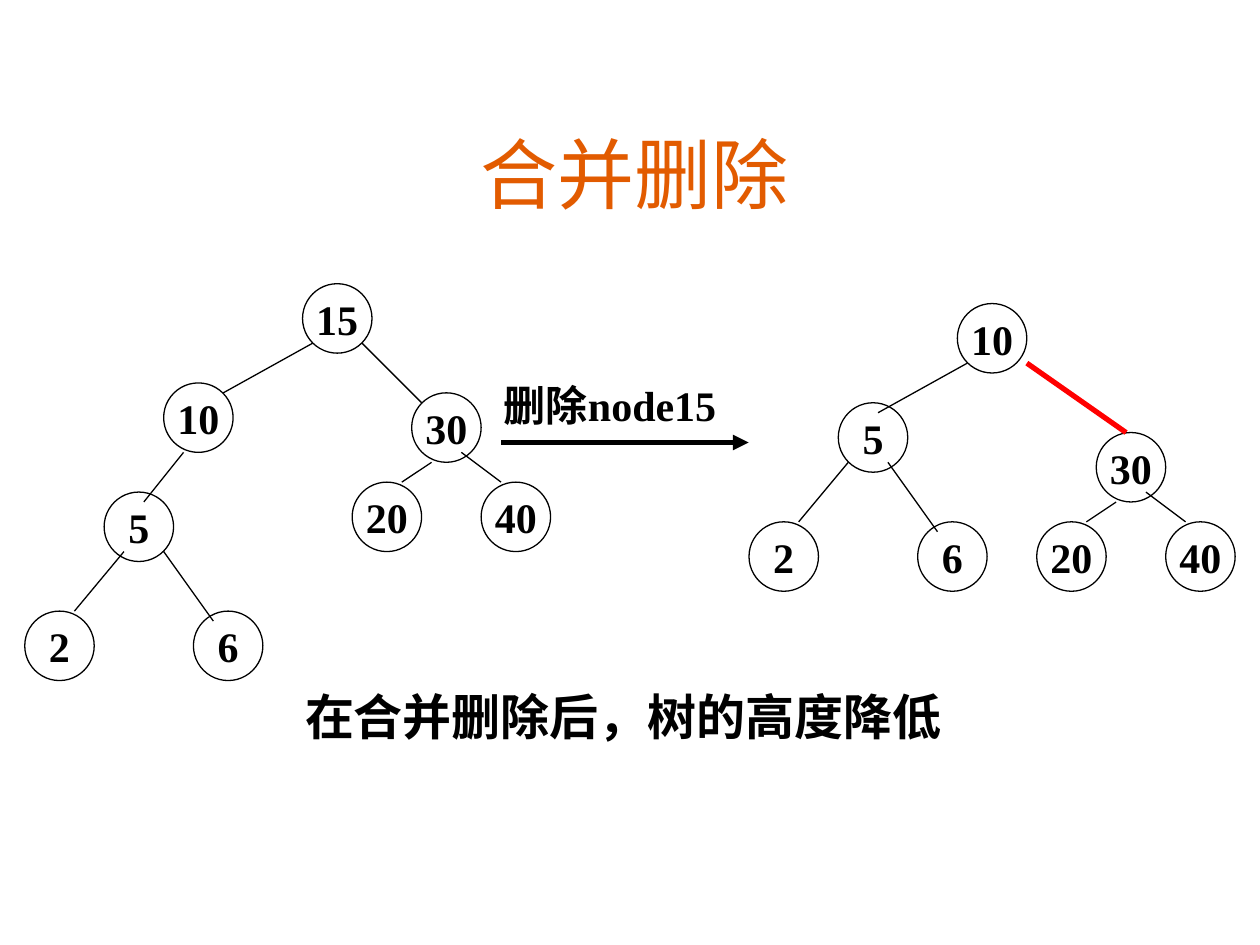
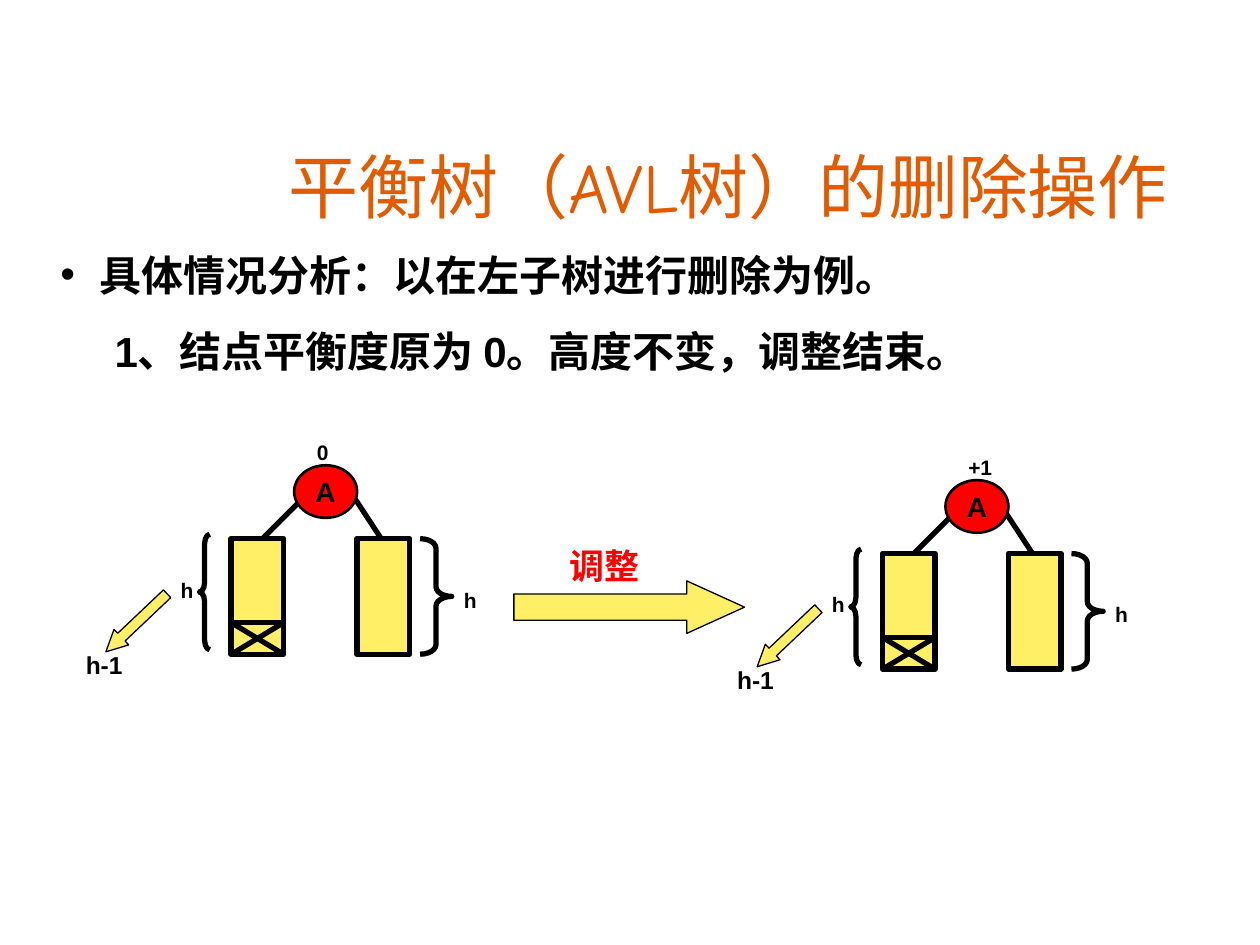
from lxml import etree
from pptx import Presentation
from pptx.dml.color import RGBColor
from pptx.enum.shapes import MSO_CONNECTOR, MSO_SHAPE
from pptx.enum.text import MSO_ANCHOR, PP_ALIGN
from pptx.oxml.ns import qn
from pptx.util import Cm, Pt

STRAIGHT = MSO_CONNECTOR.STRAIGHT
OVAL, RECTANGLE, ARROW = MSO_SHAPE.OVAL, MSO_SHAPE.RECTANGLE, MSO_SHAPE.RIGHT_ARROW
LEFT_BRACE, RIGHT_BRACE = MSO_SHAPE.LEFT_BRACE, MSO_SHAPE.RIGHT_BRACE
LEFT, CENTER = PP_ALIGN.LEFT, PP_ALIGN.CENTER
TOP, MIDDLE, BOTTOM = MSO_ANCHOR.TOP, MSO_ANCHOR.MIDDLE, MSO_ANCHOR.BOTTOM

COLORS = {"title": "E25B00", "ink": "000000", "red": "FF0000", "yellow": "FFEF66"}
TITLE_FONT = {"name": "Comic Neue", "bold": False}
TREE_FONT = {"name": "Times New Roman", "bold": True}
AVL_FONT = {"name": "Arial", "bold": True}

NODE_SIZE = 1.4
# Node positions are offsets from the root; an edge is
# (parent, offset in parent, child, offset in child).
TREE_BEFORE = {
    "origin": (6.1, 5.72),
    "nodes": {"15": (0, 0), "10": (-2.8, 2), "30": (2.2, 2.2), "20": (1, 4),
              "5": (-4, 4.2), "40": (3.6, 4), "2": (-5.6, 6.6), "6": (-2.2, 6.6)},
    "edges": [
        ("15", (0.2, 1.2), "10", (1.2, 0.2)),
        ("15", (1.2, 1.2), "30", (0.2, 0.2)),
        ("10", (0.4, 1.4), "5", (0.8, 0.2)),
        ("30", (0.4, 1.4), "20", (1, 0)),
        ("30", (1, 1.2), "40", (0.4, 0)),
        ("5", (0.4, 1.2), "2", (1, 0)),
        ("5", (1.2, 1.2), "6", (0.4, 0.2)),
    ],
}
TREE_AFTER = {
    "origin": (19.3, 6.12),
    "nodes": {"10": (0, 0), "5": (-2.4, 2), "30": (2.8, 2.6), "20": (1.6, 4.4),
              "40": (4.2, 4.4), "2": (-4.2, 4.4), "6": (-0.8, 4.4)},
    "edges": [
        ("10", (0.2, 1.2), "5", (0.8, 0.2)),
        ("5", (0.2, 1.2), "2", (1, 0)),
        ("5", (1, 1.2), "6", (0.4, 0.2)),
        ("30", (0.4, 1.4), "20", (1, 0)),
        ("30", (1, 1.2), "40", (0.4, 0)),
    ],
    "new_edge": ("10", (1.4, 1.2), "30", (0.6, 0)),
}


def color(name):
    return RGBColor.from_string(COLORS[name])


def shifted(point, offset):
    return point[0] + offset[0], point[1] + offset[1]


def set_attributes(target, values):
    for name, value in values.items():
        setattr(target, name, value)


def write(paragraph, text, size, font, ink="ink", **layout):
    set_attributes(paragraph, layout)
    run = paragraph.add_run()
    run.text = text
    set_attributes(run.font, {"size": Pt(size), **font})
    run.font.color.rgb = color(ink)


def add_text(slide, box, text, size, font, ink="ink", align=LEFT, anchor=TOP):
    shape = slide.shapes.add_textbox(*map(Cm, box))
    set_attributes(shape.text_frame, {"word_wrap": True, "vertical_anchor": anchor})
    space = 0 if font is TITLE_FONT else size * 0.625
    write(shape.text_frame.paragraphs[0], text, size, font, ink,
          alignment=align, space_before=Pt(space))
    return shape


def add_title(slide, box, text, size, anchor):
    return add_text(slide, box, text, size, TITLE_FONT, "title", CENTER, anchor)


def add_figure(slide, kind, box, fill=None, width=0.75, adjustments=()):
    shape = slide.shapes.add_shape(kind, *map(Cm, box))
    shape.shadow.inherit = False
    if fill:
        shape.fill.solid()
        shape.fill.fore_color.rgb = color(fill)
    else:
        shape.fill.background()
    shape.line.color.rgb = color("ink")
    shape.line.width = Pt(width)
    for index, value in enumerate(adjustments):
        shape.adjustments[index] = value
    return shape


def add_circle(slide, box, text, size, font, **look):
    shape = add_figure(slide, OVAL, box, **look)
    set_attributes(shape.text_frame, {"word_wrap": False, "vertical_anchor": MIDDLE})
    write(shape.text_frame.paragraphs[0], text, size, font, alignment=CENTER)


def add_line(slide, start, end, width=0.75, ink="ink", arrow=False):
    line = slide.shapes.add_connector(STRAIGHT, *map(Cm, (*start, *end)))
    line.line.color.rgb = color(ink)
    line.line.width = Pt(width)
    if arrow:
        etree.SubElement(line.line._get_or_add_ln(), qn("a:tailEnd"), type="triangle")
    etree.SubElement(line._element.spPr, qn("a:effectLst"))


def add_brace(slide, kind, box):
    """The curved ends each take a twelfth of the height."""
    width, height = box[2:]
    add_figure(slide, kind, box, width=3, adjustments=(height / 12 / width, 0.5))


def add_tree(slide, tree):
    places = {label: shifted(tree["origin"], offset)
              for label, offset in tree["nodes"].items()}
    for label, place in places.items():
        add_circle(slide, (*place, NODE_SIZE, NODE_SIZE), label, 24, TREE_FONT)

    def add_edge(edge, **look):
        parent, start, child, end = edge
        add_line(slide, shifted(places[parent], start), shifted(places[child], end), **look)

    for edge in tree["edges"]:
        add_edge(edge)
    if "new_edge" in tree:
        add_edge(tree["new_edge"], width=3, ink="red")


def add_balance_panel(slide, offset, balance):
    """Node A with two subtrees, the left one losing a level."""
    def place(x, y, *size):
        return (*shifted((x, y), offset), *size)

    left, top, width, height = 4.66, 10.86, 1.06, 2.33
    right, bottom, cut = left + width, top + height, 12.55
    for start, end in (((6.35, 9.8), (5.29, top)), ((6.99, 9.8), (7.83, 11.08))):
        add_line(slide, place(*start), place(*end), width=3)
    add_circle(slide, place(5.93, 9.38, 1.27, 1.06), "A", 16, AVL_FONT,
               fill="red", width=1.5)
    for x in (left, left + 2.54):
        add_figure(slide, RECTANGLE, place(x, top, width, height), "yellow", 3)
    for start, end in (((left, cut), (right, cut)), ((right, cut), (left, bottom)),
                       ((left, cut), (right, bottom))):
        add_line(slide, place(*start), place(*end), width=3)
    add_brace(slide, LEFT_BRACE, place(4.02, 10.77, 0.21, height))
    add_brace(slide, RIGHT_BRACE, place(8.47, top, 0.64, height))
    shrink_arrow = add_figure(slide, ARROW, place(1.9, 12.34, 1.7, 0.43), "yellow",
                              adjustments=(0.5, 1))
    shrink_arrow.rotation = 136.5
    for x, y, text, size in ((3.39, 11.51, "h", 12), (9.1, 11.71, "h", 12),
                             (6.14, 8.74, balance, 12), (1.48, 12.98, "h-1", 14)):
        add_text(slide, place(x, y, 1.27, 0.8), text, size, AVL_FONT)


def add_case_text(slide, box, heading, case):
    """A bulleted heading with an indented case below it."""
    shape = add_text(slide, box, heading, 24, AVL_FONT)
    first = shape.text_frame.paragraphs[0]
    second = shape.text_frame.add_paragraph()
    write(second, case, 24, AVL_FONT, space_before=Pt(15))
    for paragraph, margin, indent in ((first, 1.4, -0.79), (second, 1.7, 0)):
        properties = paragraph._p.get_or_add_pPr()
        properties.set("marL", str(Cm(margin)))
        properties.set("indent", str(Cm(indent)))
    properties = first._p.get_or_add_pPr()
    etree.SubElement(properties, qn("a:buFont"), typeface="Arial")
    etree.SubElement(properties, qn("a:buChar"), char="•")


def build_merge_slide(slide):
    title = add_title(slide, (1.9, 2.31, 21.8, 2.11), "合并删除", 44, BOTTOM)
    set_attributes(title.text_frame, dict.fromkeys(
        ("margin_left", "margin_top", "margin_right", "margin_bottom"), 0))
    add_line(slide, (10.1, 8.92), (15.09, 8.92), width=3, arrow=True)
    add_text(slide, (9.91, 7.52, 4.8, 2.29), "删除node15", 24, TREE_FONT)
    for tree in (TREE_BEFORE, TREE_AFTER):
        add_tree(slide, tree)
    add_text(slide, (5.9, 13.72, 16.2, 1.45), "在合并删除后，树的高度降低", 28, TREE_FONT)


def build_balance_slide(slide):
    add_title(slide, (3.96, 2.79, 21.44, 1.88), "平衡树（AVL树）的删除操作", 40, MIDDLE)
    add_case_text(slide, (0.36, 4.9, 20.6, 2.82),
                  "具体情况分析：以在左子树进行删除为例。",
                  "1、结点平衡度原为 0。高度不变，调整结束。")
    add_figure(slide, ARROW, (10.36, 11.71, 4.65, 1.06), "yellow", adjustments=(0.5, 1.1))
    add_text(slide, (11.23, 10.86, 3.38, 1.12), "调整", 20, AVL_FONT, "red")
    add_balance_panel(slide, (0, 0), "0")
    add_balance_panel(slide, (13.13, 0.3), "+1")


def main():
    presentation = Presentation()
    presentation.slide_width = Cm(25.4)
    presentation.slide_height = Cm(19.05)
    blank = presentation.slide_layouts[6]
    for build in (build_merge_slide, build_balance_slide):
        build(presentation.slides.add_slide(blank))
    presentation.save("out.pptx")


if __name__ == "__main__":
    main()
